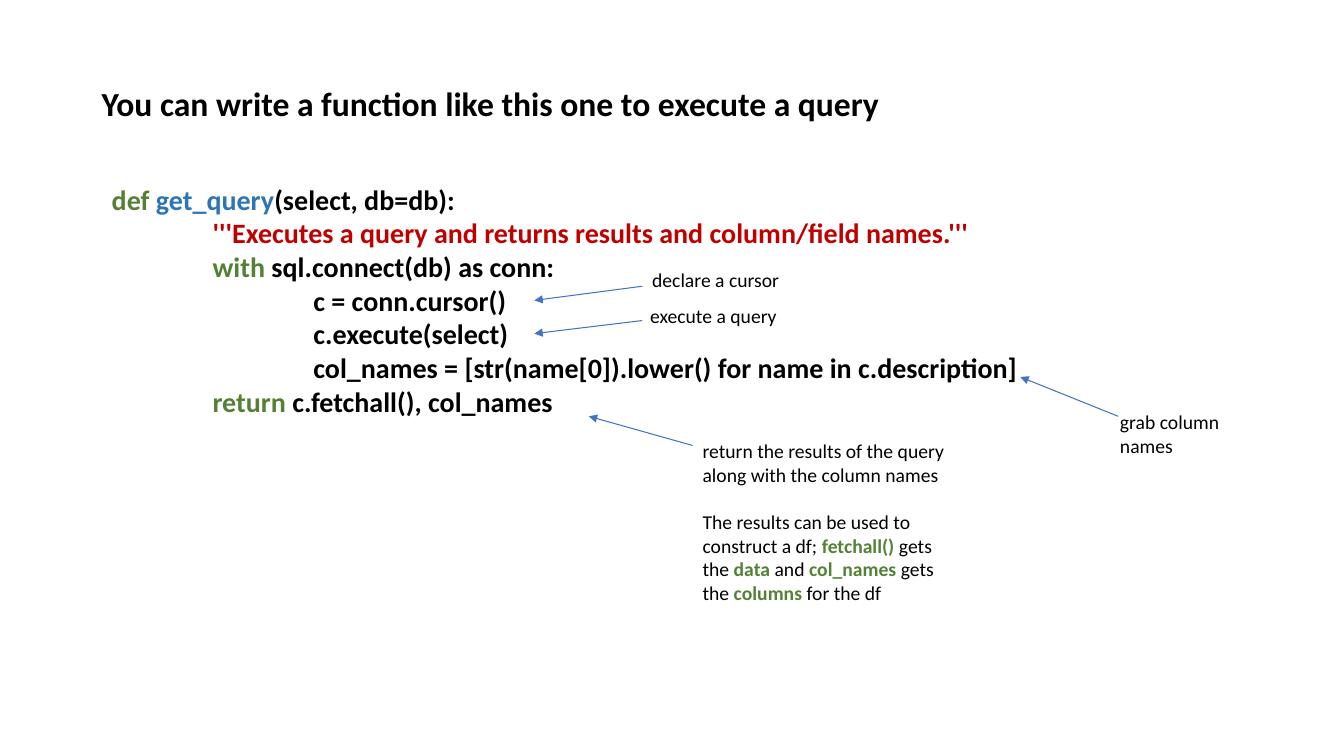
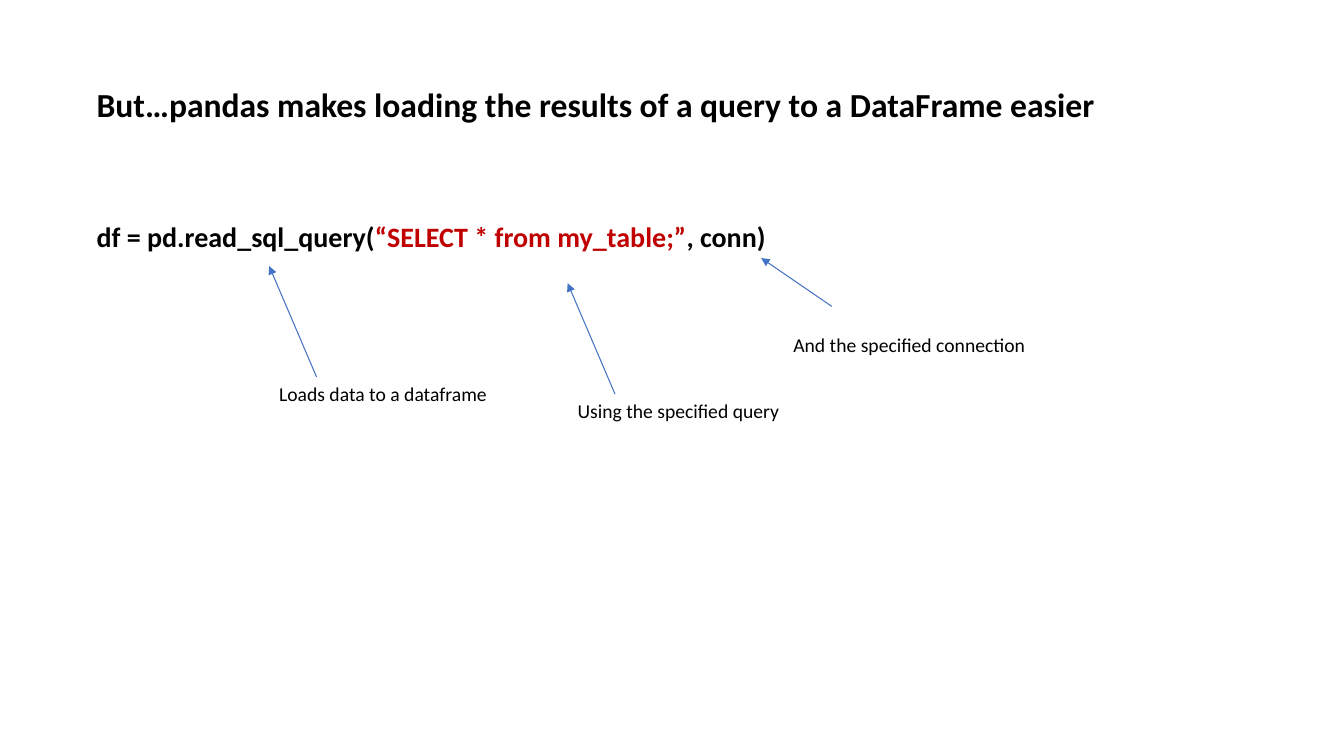
from pptx import Presentation
from pptx.dml.color import RGBColor
from pptx.enum import shapes, text
from pptx.oxml import ns
from pptx.util import Inches, Pt
from lxml import etree

FONT = "Calibri"
BLACK = RGBColor(0x00, 0x00, 0x00)
GREEN = RGBColor(0x54, 0x81, 0x35)
BLUE = RGBColor(0x2E, 0x75, 0xB5)
RED = RGBColor(0xC0, 0x00, 0x00)
ARROW = RGBColor(0x44, 0x72, 0xC4)

TITLE_SIZE = 24
CODE_SIZE = 20
NOTE_SIZE = 14
TAB = Inches(1)


def add_run(para, words, size, color=BLACK, bold=False):
    run = para.add_run()
    run.text = words
    font = run.font
    font.name = FONT
    font.size = Pt(size)
    font.bold = bold
    font.color.rgb = color


def add_box(slide, left, top, width, height):
    box = slide.shapes.add_textbox(
        Inches(left), Inches(top), Inches(width), Inches(height))
    frame = box.text_frame
    frame.word_wrap = True
    frame.vertical_anchor = text.MSO_ANCHOR.TOP
    return frame


def next_para(frame, index):
    return frame.add_paragraph() if index else frame.paragraphs[0]


def add_title(slide, words, left, top, width):
    frame = add_box(slide, left, top, width, 0.5)
    add_run(frame.paragraphs[0], words, TITLE_SIZE, bold=True)


def add_code(slide, place, lines):
    frame = add_box(slide, *place)
    for index, (level, parts) in enumerate(lines):
        para = next_para(frame, index)
        para._p.get_or_add_pPr().set("marL", str(level * TAB))
        for words, color in parts:
            add_run(para, words, CODE_SIZE, color, True)


def add_note(slide, place, *paras):
    frame = add_box(slide, *place)
    for index, parts in enumerate(paras):
        para = next_para(frame, index)
        if index:
            para.space_before = Pt(17)
        for words, color in parts:
            add_run(para, words, NOTE_SIZE, color, color != BLACK)


def add_label(slide, words, left, top, width):
    add_note(slide, (left, top, width, 0.34), [(words, BLACK)])


def add_arrow(slide, start, end):
    points = [Inches(value) for value in (*start, *end)]
    line = slide.shapes.add_connector(shapes.MSO_CONNECTOR.STRAIGHT, *points)
    line.line.color.rgb = ARROW
    line.line.width = Pt(0.75)
    tail = etree.SubElement(line.line._get_or_add_ln(), ns.qn("a:tailEnd"))
    tail.set("type", "triangle")
    etree.SubElement(line._element.spPr, ns.qn("a:effectLst"))


def build_query(slide):
    add_title(slide, "You can write a function like this one to execute a query",
              0.91, 0.77, 8.49)
    add_code(slide, (1.01, 1.76, 11.48, 2.46), [
        (0, [("def ", GREEN), ("get_query", BLUE),
             ("(select, db=db):", BLACK)]),
        (1, [("'''Executes a query and returns results and "
              "column/field names.'''", RED)]),
        (1, [("with", GREEN), (" sql.connect(db) as conn:", BLACK)]),
        (2, [("c = conn.cursor()", BLACK)]),
        (2, [("c.execute(select)", BLACK)]),
        (2, [("col_names = [str(name[0]).lower() "
              "for name in c.description]", BLACK)]),
        (1, [("return", GREEN), (" c.fetchall(), col_names", BLACK)]),
    ])
    for start, end in (
        ((6.37, 2.84), (5.3, 2.98)),
        ((6.37, 3.18), (5.3, 3.31)),
        ((11.09, 4.13), (10.12, 3.74)),
        ((6.87, 4.42), (5.84, 4.13)),
    ):
        add_arrow(slide, start, end)
    add_label(slide, "declare a cursor", 6.37, 2.61, 1.9)
    add_label(slide, "execute a query", 6.35, 2.97, 1.75)
    add_label(slide, "grab column names", 11.01, 4.02, 1.6)
    add_note(
        slide, (6.87, 4.31, 2.67, 1.75),
        [("return the results of the query along with the column names",
          BLACK)],
        [("The results can be used to construct a df; ", BLACK),
         ("fetchall() ", GREEN), ("gets the ", BLACK), ("data", GREEN),
         (" and ", BLACK), ("col_names ", GREEN), ("gets the ", BLACK),
         ("columns", GREEN), (" for the df", BLACK)],
    )


def build_pandas(slide):
    add_title(slide, "But…pandas makes loading the results of a query "
              "to a DataFrame easier", 0.86, 0.78, 10.31)
    add_code(slide, (0.86, 2.13, 11.63, 0.44), [
        (0, [("df = pd.read_sql_query(", BLACK),
             ("“SELECT * from my_table;”", RED), (", conn)", BLACK)]),
    ])
    for words, left, top in (
        ("Loads data to a dataframe", 2.67, 3.74),
        ("Using the specified query", 5.63, 3.91),
    ):
        add_arrow(slide, (left + 0.47, top), (left, top - 1.1))
        add_label(slide, words, left, top, 2.4)
    add_arrow(slide, (8.25, 3.04), (7.55, 2.56))
    add_label(slide, "And the specified connection", 7.77, 3.25, 3.39)


def main():
    deck = Presentation()
    deck.slide_width = Inches(13.33)
    deck.slide_height = Inches(7.5)
    for build in (build_query, build_pandas):
        build(deck.slides.add_slide(deck.slide_layouts[6]))
    deck.save("out.pptx")


if __name__ == "__main__":
    main()
